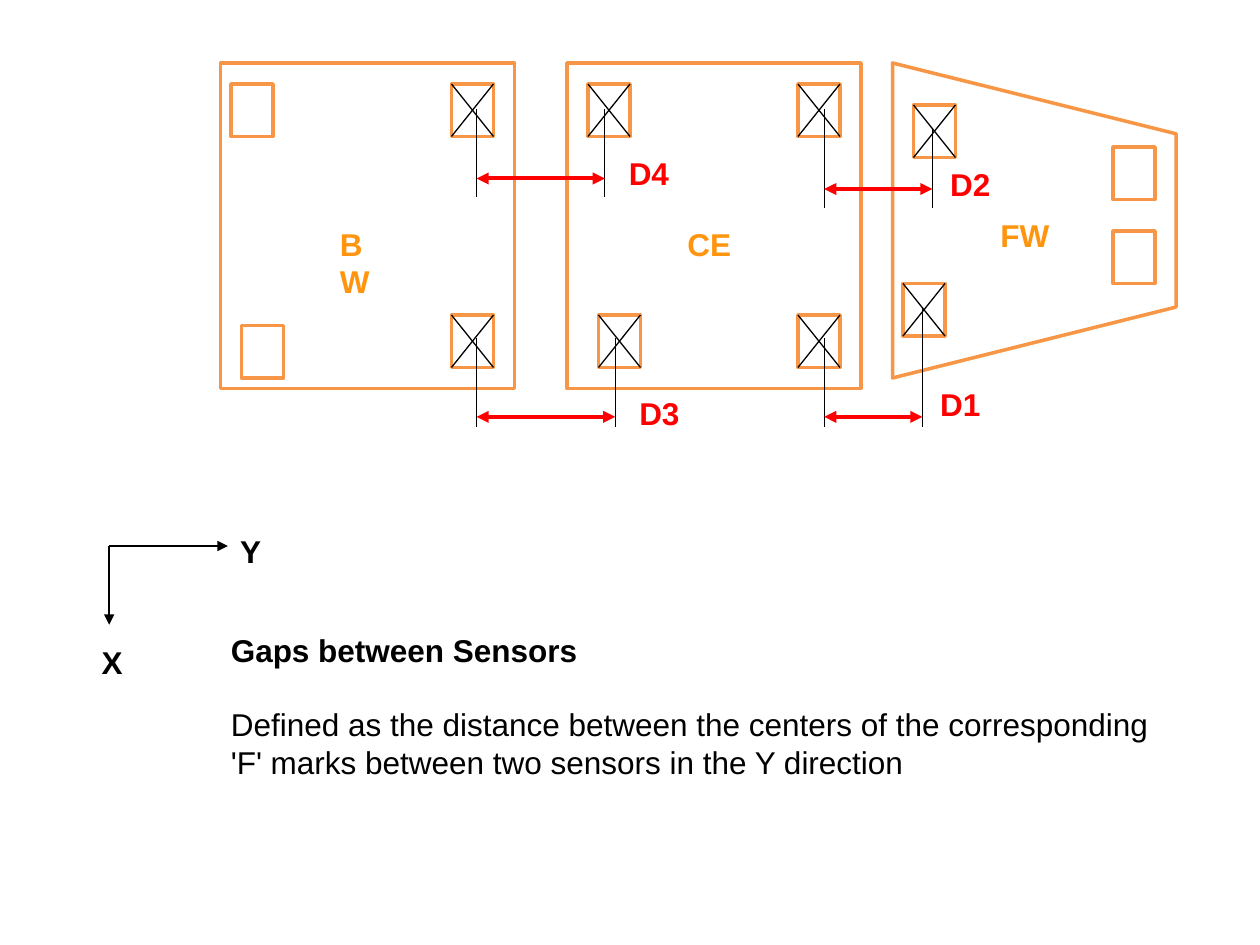
import pptx
import pptx.dml.color
import pptx.enum.shapes
import pptx.oxml.xmlchemy
import pptx.util

COLORS = {"sensor": "F79646", "name": "FF950E", "gap": "FF0000",
          "ink": "000000", "paper": "FFFFFF"}
WIDTH, HEIGHT = pptx.util.Inches(10), pptx.util.Inches(7.5)
COLS, ROWS = 120, 90
MARK_W, MARK_H = 4, 5
SHAPE = pptx.enum.shapes.MSO_SHAPE


def cols(n):
    return round(WIDTH * n / COLS)


def rows(n):
    return round(HEIGHT * n / ROWS)


def rgb(name):
    return pptx.dml.color.RGBColor.from_string(COLORS[name])


def outline(s, box, kind=SHAPE.RECTANGLE):
    x, y, w, h = box
    sp = s.shapes.add_shape(kind, cols(x), rows(y), cols(w), rows(h))
    sp.shadow.inherit = False
    sp.fill.solid()
    sp.fill.fore_color.rgb = rgb("paper")
    sp.line.color.rgb = rgb("sensor")
    sp.line.width = pptx.util.Pt(2)
    return sp


def line(s, x1, y1, x2, y2, color="ink", width=0.75, ends=()):
    c = s.shapes.add_connector(pptx.enum.shapes.MSO_CONNECTOR.STRAIGHT,
                               cols(x1), rows(y1), cols(x2), rows(y2))
    c.line.color.rgb = rgb(color)
    c.line.width = pptx.util.Pt(width)
    ln = c.line._get_or_add_ln()
    for end in ends:
        arrow = pptx.oxml.xmlchemy.OxmlElement(f"a:{end}")
        arrow.set("type", "triangle")
        ln.append(arrow)
    c._element.spPr.append(pptx.oxml.xmlchemy.OxmlElement("a:effectLst"))


def text(s, x, y, w, h, lines, color="ink", wrap=False):
    tf = s.shapes.add_textbox(cols(x), rows(y), cols(w), rows(h)).text_frame
    tf.word_wrap = wrap
    tf.text = "\n".join(lines)
    for p in tf.paragraphs:
        for r in p.runs:
            r.font.name = "Arial"
            r.font.size = pptx.util.Pt(18)
            r.font.bold = True
            r.font.color.rgb = rgb(color)
    return tf


def sensor(s, box, name, label, crossed, plain=(), tapered=False):
    """Body, name and marks; label and marks are offsets from the box corner."""
    x, y, w, h = box
    if tapered:
        # The trapezoid is turned on its side, so its sides swap
        turned = (x + (w - h) / 2, y + (h - w) / 2, h, w)
        sp = outline(s, turned, SHAPE.TRAPEZOID)
        sp.adjustments[0] = 0.25
        sp.rotation = 90
    else:
        outline(s, box)
    for dx, dy in (*plain, *crossed):
        outline(s, (x + dx, y + dy, MARK_W, MARK_H))
    for dx, dy in crossed:
        left, top = x + dx, y + dy
        right, bottom = left + MARK_W, top + MARK_H
        line(s, left, top, right, bottom)
        line(s, right, top, left, bottom)
    text(s, x + label[0], y + label[1], 7.2, 4.5, [name], "name")


def gap(s, box, name, label, arrow, left_drop=0, right_drop=0):
    """Two guide lines with a double arrow; label is an offset from its tip."""
    x, y, w, h = box
    line(s, x, y + left_drop, x, y + h)
    line(s, x + w, y + right_drop, x + w, y + h)
    line(s, x, y + arrow, x + w, y + arrow, "gap", 2.3, ("headEnd", "tailEnd"))
    text(s, x + w + label[0], y + arrow + label[1], 8, 4.5, [name], "gap")


def axes(s, box):
    x, y, w, h = box
    line(s, x, y, x, y + h, width=1.5, ends=("tailEnd",))
    line(s, x, y, x + w, y, width=1.5, ends=("tailEnd",))
    text(s, x + w, y - 1.9, 4.3, 4.5, ["Y"])
    text(s, x - 1.9, y + h + 1.1, 4.3, 4.5, ["X"])


def caption(s, box):
    tf = text(s, *box, [
        "Gaps between Sensors",
        "Defined as the distance between the centers of the corresponding",
        "'F' marks between two sensors in the Y direction"], wrap=True)
    for p in tf.paragraphs[1:]:
        p.runs[0].font.bold = False
    tf.paragraphs[1].space_before = pptx.util.Pt(21)


def main():
    prs = pptx.Presentation()
    prs.slide_width, prs.slide_height = WIDTH, HEIGHT
    s = prs.slides.add_slide(prs.slide_layouts[6])

    # Sensors
    sensor(s, (21, 6, 28, 31), "BW", (10.2, 14.8),
           crossed=[(22, 2), (22, 24)], plain=[(1, 2), (2, 25)])
    sensor(s, (54, 6, 28, 31), "CE", (10.3, 14.8),
           crossed=[(2, 2), (3, 24), (22, 2), (22, 24)])
    sensor(s, (85, 6, 27, 30), "FW", (9.1, 14),
           crossed=[(2, 4), (1, 21)], plain=[(21, 8), (21, 16)], tapered=True)

    # Gaps between neighbouring sensors
    gap(s, (78.5, 29.3, 9.35, 11.4), "D1", (0.5, -3.6), 10.4, left_drop=2.9)
    gap(s, (78.5, 10.4, 10.3, 9.4), "D2", (0.5, -2.9), 7.6, right_drop=1.8)
    gap(s, (45.4, 32.2, 13.2, 8.5), "D3", (1.1, -2.8), 7.5)
    gap(s, (45.4, 10.4, 12.2, 8.4), "D4", (1.1, -2.9), 6.6)

    # Directions and definition
    axes(s, (10.4, 52, 11.3, 7.5))
    caption(s, (20.8, 59.5, 90.4, 14.6))

    prs.save("out.pptx")


if __name__ == "__main__":
    main()
